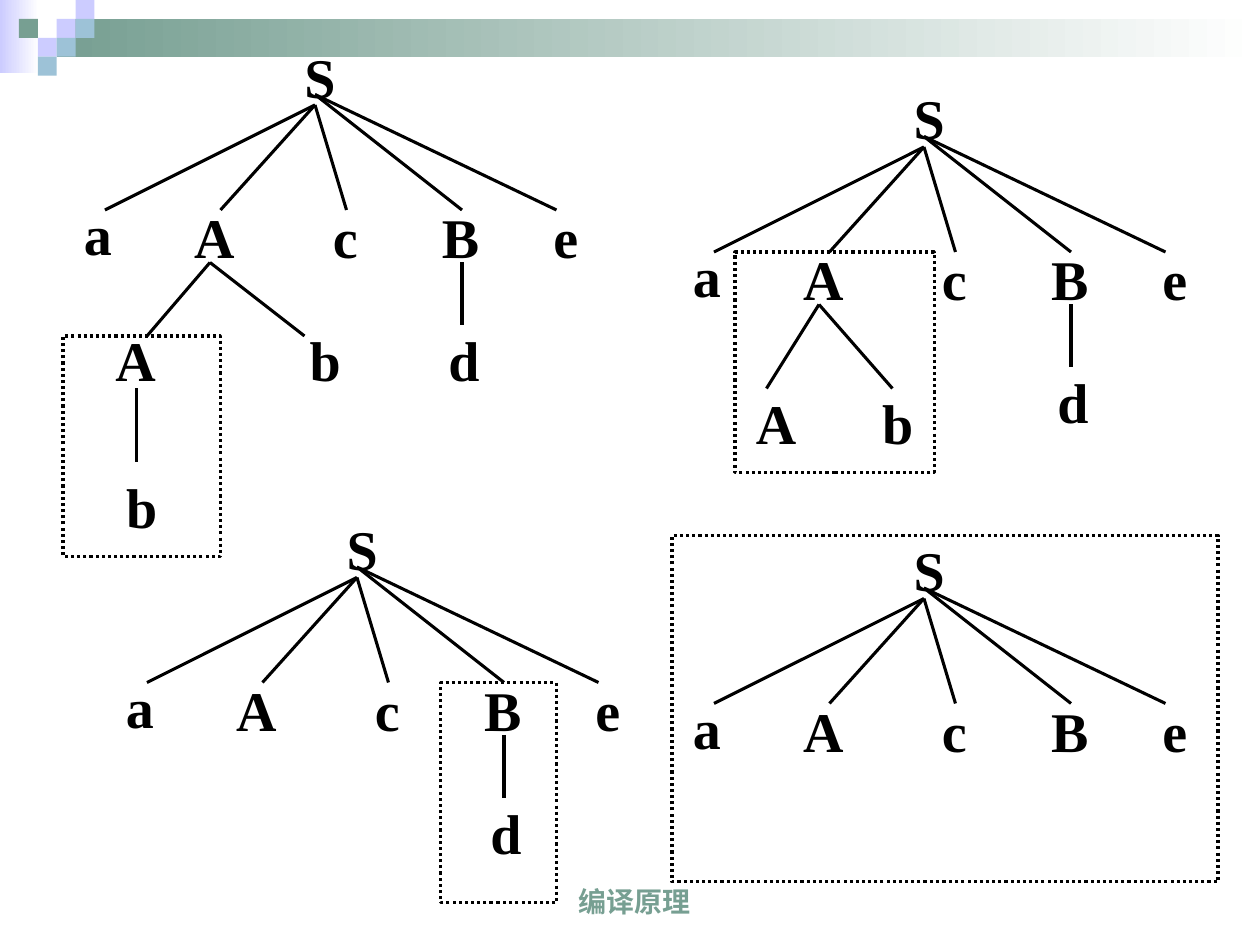
from lxml.etree import SubElement
from pptx import Presentation
from pptx.dml.color import RGBColor
from pptx.enum.dml import MSO_LINE
from pptx.enum.shapes import MSO_CONNECTOR, MSO_SHAPE
from pptx.enum.text import MSO_ANCHOR, MSO_AUTO_SIZE, PP_ALIGN
from pptx.oxml.ns import qn
from pptx.util import Pt

PX = 7620  # 120 px to the inch
CELL = 18
BLACK, WHITE, GREEN = "000000", "FFFFFF", "779F92"
LILAC, BLUE = "CCCCFF", "9DC2D7"

SQUARES = [(3, 1, LILAC), (4, 0, LILAC), (4, 1, BLUE), (2, 2, LILAC),
           (1, 1, GREEN), (3, 2, BLUE), (2, 3, BLUE)]
WIDTHS = {"S": 30, "A": 38, "B": 36, "a": 27, "b": 30, "c": 24, "d": 30, "e": 24}

# Labels (text, x, y) and edges (x1, y1, x2, y2), measured from the root
ROOT_LABELS = [("S", -10, -60), ("a", -220, 90), ("A", -115, 93),
               ("c", 17, 93), ("B", 121, 93), ("e", 227, 93)]
ROOT_EDGES = [(0, 0, -200, 100), (0, 0, -90, 100), (0, 0, 30, 100),
              (0, -10, 140, 100), (0, -10, 230, 100)]
D_LABEL, D_EDGE = ("d", 127, 210), (140, 150, 140, 210)

# Root position, further labels, further edges, dotted frame
TREES = [
    ((300, 100),
     [D_LABEL, ("A", -190, 210), ("b", -5, 210), ("b", -180, 350)],
     [D_EDGE, (-100, 150, -160, 220), (-100, 150, -10, 220),
      (-170, 270, -170, 340)],
     (60, 320, 150, 210)),
    ((880, 140),
     [D_LABEL, ("A", -160, 230), ("b", -40, 230)],
     [D_EDGE, (-100, 150, -150, 230), (-100, 150, -30, 230)],
     (700, 240, 190, 210)),
    ((340, 550), [D_LABEL], [D_EDGE], (420, 650, 110, 210)),
    ((880, 570), [], [], (640, 510, 520, 330)),
]


def px(*vals):
    return [val * PX for val in vals]


def rgb(code):
    return RGBColor.from_string(code)


def style(item, **values):
    for name, value in values.items():
        setattr(item, name, value)


def add_rect(shapes, *box):
    rect = shapes.add_shape(MSO_SHAPE.RECTANGLE, *px(*box))
    rect.shadow.inherit = False
    return rect


def add_block(shapes, box, color, fade=False):
    """Add a borderless rectangle, plain or fading to white on the right."""
    rect = add_rect(shapes, *box)
    rect.line.fill.background()
    if fade:
        rect.fill.gradient()
        rect.fill.gradient_angle = 0
        for stop, code, pos in zip(rect.fill.gradient_stops, (color, WHITE), (0, 1)):
            stop.color.rgb = rgb(code)
            stop.position = pos
    else:
        rect.fill.solid()
        rect.fill.fore_color.rgb = rgb(color)


def add_frame(shapes, box):
    frame = add_rect(shapes, *box)
    frame.fill.background()
    frame.line.color.rgb = rgb(BLACK)
    style(frame.line, width=Pt(1.75), dash_style=MSO_LINE.ROUND_DOT)


def add_edge(shapes, *ends):
    edge = shapes.add_connector(MSO_CONNECTOR.STRAIGHT, *px(*ends))
    edge.line.color.rgb = rgb(BLACK)
    edge.line.width = Pt(1.75)
    SubElement(edge._element.spPr, qn("a:effectLst"))


def add_text(shapes, text, box, font, color, align, **frame):
    area = shapes.add_textbox(*px(*box)).text_frame
    style(area, **frame)
    par = area.paragraphs[0]
    style(par, text=text, alignment=align)
    style(par.runs[0].font, bold=True, **font)
    par.runs[0].font.color.rgb = rgb(color)


def add_label(shapes, text, x, y):
    add_text(shapes, text, (x, y, WIDTHS[text], 64),
             {"name": "Times New Roman", "size": Pt(32)}, BLACK,
             PP_ALIGN.JUSTIFY, word_wrap=False,
             auto_size=MSO_AUTO_SIZE.SHAPE_TO_FIT_TEXT,
             margin_left=0, margin_top=0, margin_right=0, margin_bottom=0)


def add_tree(shapes, root, labels, edges):
    x, y = root
    group = shapes.add_group_shape().shapes
    for text, dx, dy in ROOT_LABELS + labels:
        add_label(group, text, x + dx, y + dy)
    for x1, y1, x2, y2 in ROOT_EDGES + edges:
        add_edge(group, x + x1, y + y1, x + x2, y + y2)


def add_banner(shapes):
    group = shapes.add_group_shape().shapes
    add_block(group, (0, 0, 37, 70), LILAC, fade=True)
    add_block(group, (54, CELL, 1146, 2 * CELL), GREEN, fade=True)
    for col, row, color in SQUARES:
        add_block(group, (col * CELL, row * CELL, CELL, CELL), color)


def main():
    deck = Presentation()
    deck.slide_width, deck.slide_height = px(1200, 900)
    shapes = deck.slides.add_slide(deck.slide_layouts[6]).shapes
    add_banner(shapes)
    add_text(shapes, "编译原理", (392, 820, 425, 60),
             {"name": "Arial", "size": Pt(16)}, GREEN, PP_ALIGN.CENTER,
             word_wrap=True, vertical_anchor=MSO_ANCHOR.BOTTOM)
    for root, labels, edges, frame in TREES:
        add_tree(shapes, root, labels, edges)
        add_frame(shapes, frame)
    deck.save("out.pptx")


if __name__ == "__main__":
    main()
